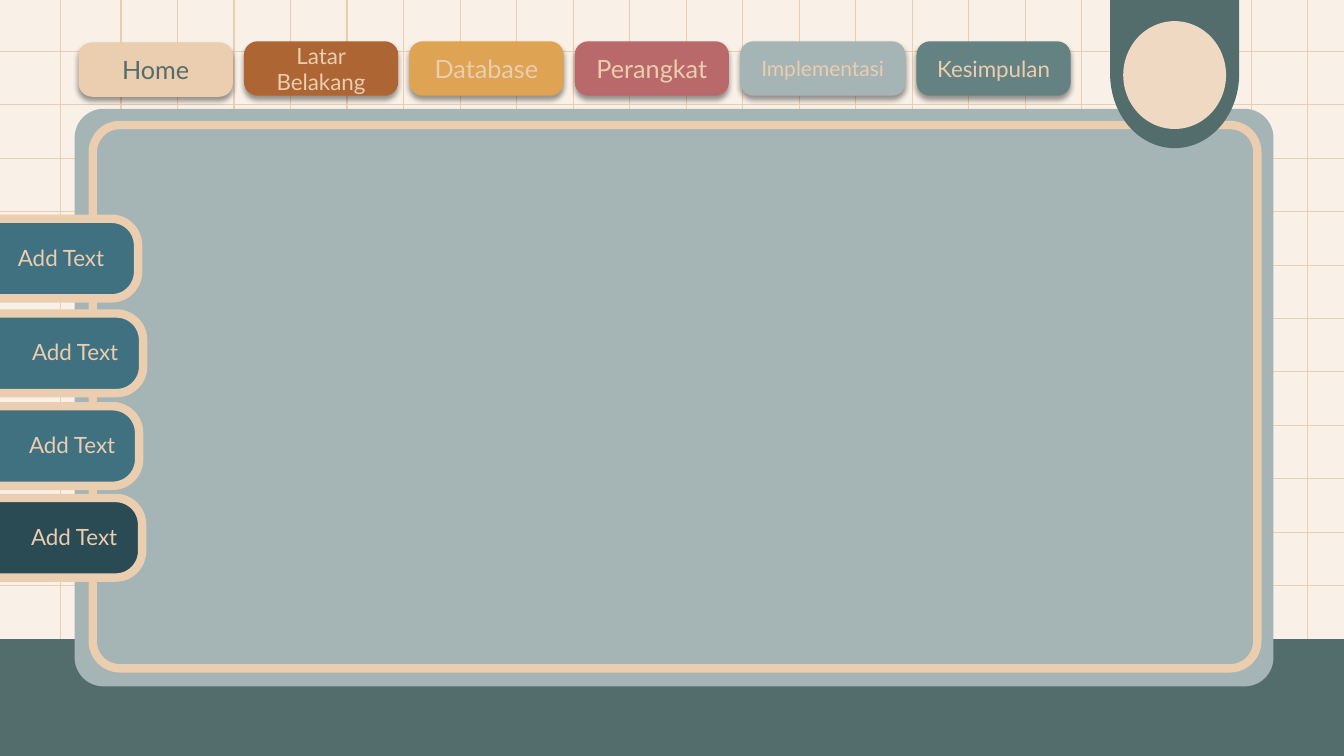
from lxml import etree
from pptx import Presentation
from pptx.dml.color import RGBColor
from pptx.enum.shapes import MSO_CONNECTOR, MSO_SHAPE
from pptx.enum.text import MSO_ANCHOR, PP_ALIGN
from pptx.oxml.ns import qn
from pptx.util import Inches, Pt

RECT = MSO_SHAPE.RECTANGLE
ROUND = MSO_SHAPE.ROUNDED_RECTANGLE
DELAY = MSO_SHAPE.FLOWCHART_DELAY
DISC = MSO_SHAPE.FLOWCHART_CONNECTOR
LINE = MSO_CONNECTOR.STRAIGHT
MIDDLE = MSO_ANCHOR.MIDDLE
CENTER = PP_ALIGN.CENTER

WIDE, HIGH = 13.33, 7.5
CREAM, SAND, PEACH = "F9F0E7", "EBCDAF", "F0D9C2"
PINE, MIST, BLUE, NAVY = "536D6C", "A5B4B4", "407180", "2A4A54"

NAV = [
    ("Home", 1.53, 0.01, 18, SAND, PINE),
    ("Latar Belakang", 1.53, 0, 16, "AD6534", SAND),
    ("Database", 1.53, 0, 18, "DEA353", SAND),
    ("Perangkat", 1.53, 0, 18, "B9696A", SAND),
    ("Implementasi", 1.64, 0, 15, MIST, SAND),
    ("Kesimpulan", 1.53, 0, 16, "648282", SAND),
]
TABS = [
    (-0.57, 2.17, 0.28, BLUE),
    (-0.52, 3.11, 0.37, BLUE),
    (-0.56, 4.03, 0.38, BLUE),
    (-0.53, 4.94, 0.37, NAVY),
]


def color(code):
    """Turn a hex string into a colour."""
    return RGBColor.from_string(code)


def shape(slide, kind, x, y, w, h, fill=None, edge=None, adj=None):
    """Add a flat shape with an optional fill, 6 pt edge and corner."""
    item = slide.shapes.add_shape(kind, Inches(x), Inches(y), Inches(w), Inches(h))
    item.shadow.inherit = False
    if fill:
        item.fill.solid()
        item.fill.fore_color.rgb = color(fill)
    else:
        item.fill.background()
    if edge:
        item.line.color.rgb = color(edge)
        item.line.width = Pt(6)
    else:
        item.line.fill.background()
    if adj:
        item.adjustments[0] = adj
    return item


def write(item, text, size, ink):
    """Put one centred line of text into a shape or text box."""
    frame = item.text_frame
    frame.word_wrap = True
    para = frame.paragraphs[0]
    para.alignment = CENTER
    run = para.add_run()
    run.text = text
    run.font.name = "Lato"
    run.font.size = Pt(size)
    run.font.color.rgb = color(ink)


def shade(item):
    """Give a shape a soft shadow straight below it."""
    list_ = item._element.spPr.find(qn("a:effectLst"))
    outer = etree.SubElement(list_, qn("a:outerShdw"), blurRad=str(Pt(4)),
                             dist=str(Pt(3)), dir="5400000", algn="t", rotWithShape="0")
    black = etree.SubElement(outer, qn("a:srgbClr"), val="000000")
    etree.SubElement(black, qn("a:alpha"), val="40000")


def rule(slide, x1, y1, x2, y2):
    """Draw one thin grid line."""
    line = slide.shapes.add_connector(LINE, Inches(x1), Inches(y1), Inches(x2), Inches(y2))
    line.line.color.rgb = color(SAND)
    line.line.width = Pt(0.75)
    etree.SubElement(line._element.spPr, qn("a:effectLst"))


def grid(slide, x, y, w, h):
    """Cover a box with the squared paper lines."""
    step = (12.97 - 1.2) / 21
    for left in [0.6] + [1.2 + step * i for i in range(22)]:
        rule(slide, x + left, y, x + left, y + h)
    for i in range(14):
        top = y + 0.51 + 0.53 * i
        rule(slide, x, top, x + w, top)


def board(slide, x, y, w, h):
    """Draw the main panel with its inner frame."""
    shape(slide, ROUND, x, y, w, h, MIST, adj=0.05)
    shape(slide, ROUND, x + 0.18, y + 0.16, w - 0.34, h - 0.34, edge=SAND, adj=0.05)


def badge(slide, x, y, w, h):
    """Hang the rounded ribbon with its disc from the top edge."""
    shift = (h - w) / 2
    ribbon = shape(slide, DELAY, x - shift, y + shift, h, w, PINE)
    ribbon.rotation = 90
    shape(slide, DISC, x + 0.13, y + 0.21, 1.02, 1.07, PEACH)


def menu(slide, x, y, h, gap):
    """Lay the navigation buttons in a row."""
    for text, w, drop, size, fill, ink in NAV:
        button = shape(slide, ROUND, x, y + drop, w, h, fill, adj=0.25)
        shade(button)
        button.text_frame.vertical_anchor = MIDDLE
        write(button, text, size, ink)
        x += w + gap


def tab(slide, x, y, w, h, inset, fill):
    """Draw one side tab and its label."""
    shape(slide, ROUND, x, y, w, h, fill, SAND, 0.333)
    label = slide.shapes.add_textbox(Inches(x + inset), Inches(y + 0.2),
                                     Inches(1.79), Inches(0.37))
    write(label, "Add Text", 16, SAND)


def main():
    """Build the slide and save it."""
    deck = Presentation()
    deck.slide_width, deck.slide_height = Inches(WIDE), Inches(HIGH)
    slide = deck.slides.add_slide(deck.slide_layouts[6])
    slide.background.fill.solid()
    slide.background.fill.fore_color.rgb = color(CREAM)
    grid(slide, 0, 0, WIDE, HIGH)
    shape(slide, RECT, 0, 6.34, WIDE, HIGH - 6.34, PINE)
    board(slide, 0.74, 1.08, 11.89, 5.73)
    badge(slide, 11.01, 0, 1.28, 1.47)
    for x, y, inset, fill in TABS:
        tab(slide, x, y, 1.94, 0.79, inset, fill)
    menu(slide, 0.78, 0.41, 0.54, 0.11)
    deck.save("out.pptx")


if __name__ == "__main__":
    main()
